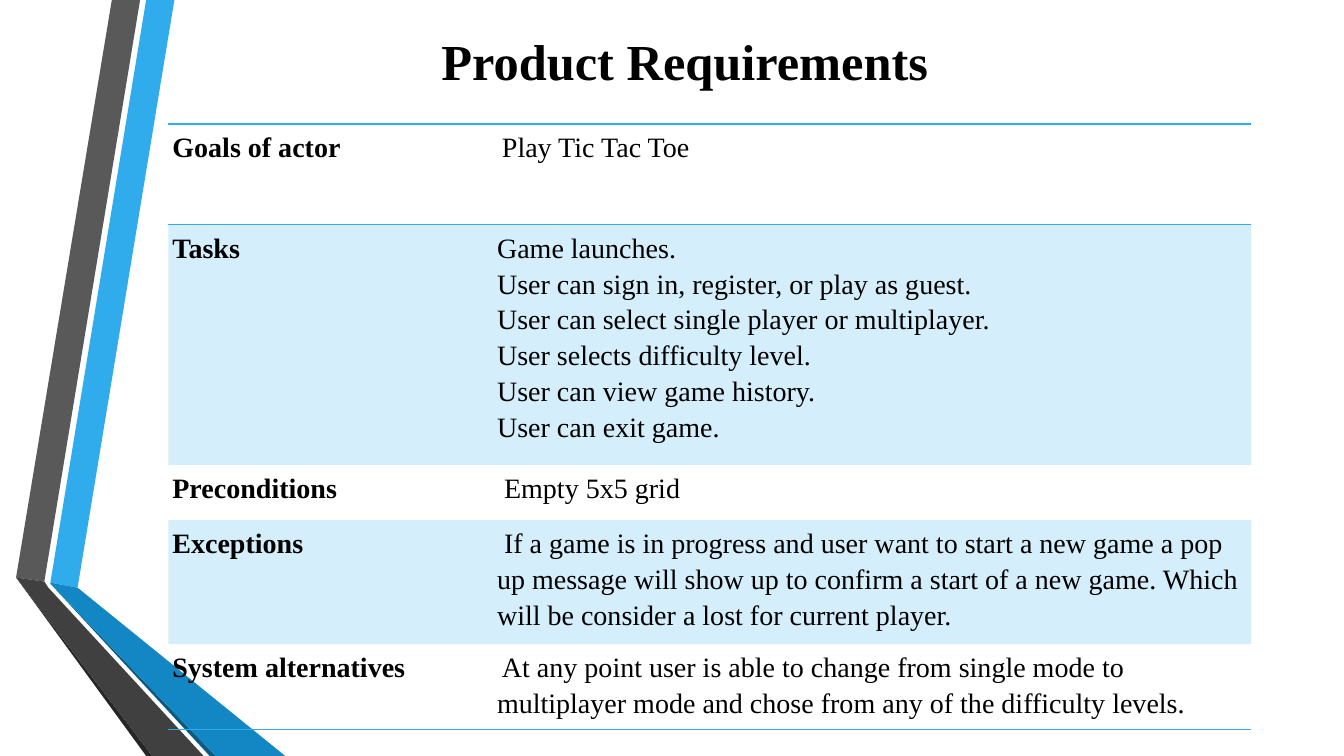
"""Build the Product Requirements slide with its use case table."""
from lxml.etree import SubElement
from pptx import Presentation
from pptx.dml.color import RGBColor
from pptx.oxml.ns import qn
from pptx.util import Inches, Pt

TITLE = "Product Requirements"
REQUIREMENTS = [
    ("Goals of actor", 1.0, [[(" ", "small"), ("Play Tic Tac Toe", "body")]]),
    ("Tasks", 2.37, [[(task, "body")] for task in (
        "Game launches.",
        "User can sign in, register, or play as guest.",
        "User can select single player or multiplayer.",
        "User selects difficulty level.",
        "User can view game history.",
        "User can exit game.",
    )]),
    ("Preconditions", 0.55, [[(" Empty 5x5 grid", "body")]]),
    ("Exceptions", 1.23, [[(
        " If a game is in progress and user want to start a new game a pop up "
        "message will show up to confirm a start of a new game. Which will be "
        "consider a lost for current player.", "body")]]),
    ("System alternatives", 0.85, [[(" ", "small"), (
        "At any point user is able to change from single mode to multiplayer "
        "mode and chose from any of the difficulty levels.", "body")]]),
]
RIBBONS = [
    ("blue", [(0.5, 5.78), (0.77, 5.83), (1.73, 0), (1.45, 0)]),
    ("gray", [(1.39, 0), (1.11, 0), (0.16, 5.73), (0.44, 5.77)]),
    ("black", [(0.16, 5.73), (1.45, 7.5), (1.51, 7.5)]),
    ("navy", [(0.5, 5.79), (2.08, 7.5), (2.14, 7.5)]),
    ("deep_blue", [(0.5, 5.79), (2.14, 7.5), (2.83, 7.5), (0.77, 5.83), (0.5, 5.78)]),
    ("charcoal", [(2.02, 7.5), (0.48, 5.83), (0.44, 5.77), (0.16, 5.73), (1.51, 7.5)]),
]
THEME = {
    "font": "Times New Roman",
    "sizes": {"title": 36, "body": 20, "small": 14},
    "colors": {"text": "000000", "blue": "30ACEC", "gray": "595959", "black": "262626",
               "navy": "0C5A82", "deep_blue": "1287C3", "charcoal": "404040"},
    "band_alpha": 20,
}
COLUMN_WIDTHS = (3.22, 7.52)
CELL_MARGIN = 0.04
PLAIN_TABLE_STYLE = "{2D5ABB26-0587-4C30-8999-92F81FD0307C}"


def theme_color(name):
    return RGBColor.from_string(THEME["colors"][name])


def add_run(paragraph, text, size, bold=False):
    run = paragraph.add_run()
    run.text = text
    run.font.name = THEME["font"]
    run.font.size = Pt(THEME["sizes"][size])
    run.font.bold = bold
    run.font.color.rgb = theme_color("text")


def add_ribbon(slide, color, points):
    corners = [(Inches(x), Inches(y)) for x, y in points]
    builder = slide.shapes.build_freeform(*corners[0])
    builder.add_line_segments(corners[1:], close=True)
    shape = builder.convert_to_shape()
    shape.shadow.inherit = False
    shape.fill.solid()
    shape.fill.fore_color.rgb = theme_color(color)
    shape.line.fill.background()


def add_title(slide):
    box = slide.shapes.add_textbox(Inches(4.28), Inches(0.25), Inches(5.97), Inches(0.71))
    box.text_frame.word_wrap = True
    add_run(box.text_frame.paragraphs[0], TITLE, "title", bold=True)


def add_border(cell, side):
    properties = cell._tc.get_or_add_tcPr()
    line = SubElement(properties, qn(f"a:ln{side}"), w=str(Pt(1)))
    fill = SubElement(line, qn("a:solidFill"))
    SubElement(fill, qn("a:srgbClr"), val=THEME["colors"]["blue"])


def fill_cell(cell, banded):
    if not banded:
        cell.fill.background()
        return
    cell.fill.solid()
    cell.fill.fore_color.rgb = theme_color("blue")
    color = next(cell._tc.tcPr.iter(qn("a:srgbClr")))
    SubElement(color, qn("a:alpha"), val=str(THEME["band_alpha"] * 1000))


def write_cell(cell, lines, bold):
    cell.margin_left = cell.margin_right = Inches(CELL_MARGIN)
    cell.margin_top = cell.margin_bottom = Inches(CELL_MARGIN)
    for index, line in enumerate(lines):
        frame = cell.text_frame
        paragraph = frame.add_paragraph() if index else frame.paragraphs[0]
        paragraph.line_spacing = 1.15
        for text, size in line:
            add_run(paragraph, text, size, bold)


def add_requirements(slide):
    height = sum(row_height for _, row_height, _ in REQUIREMENTS)
    frame = slide.shapes.add_table(
        len(REQUIREMENTS), len(COLUMN_WIDTHS), Inches(1.67), Inches(1.23),
        Inches(sum(COLUMN_WIDTHS)), Inches(height))
    table = frame.table
    table.first_row = table.horz_banding = False
    table._tbl.tblPr.find(qn("a:tableStyleId")).text = PLAIN_TABLE_STYLE
    for column, width in zip(table.columns, COLUMN_WIDTHS):
        column.width = Inches(width)
    last = len(REQUIREMENTS) - 1
    for index, (label, row_height, lines) in enumerate(REQUIREMENTS):
        table.rows[index].height = Inches(row_height)
        for column, content in enumerate(([[(label, "body")]], lines)):
            cell = table.cell(index, column)
            write_cell(cell, content, bold=column == 0)
            if index == 0:
                add_border(cell, "T")
            if index in (0, last):
                add_border(cell, "B")
            fill_cell(cell, banded=index % 2 == 1)


def main():
    presentation = Presentation()
    presentation.slide_width = Inches(13.33)
    presentation.slide_height = Inches(7.5)
    slide = presentation.slides.add_slide(presentation.slide_layouts[6])
    for color, points in RIBBONS:
        add_ribbon(slide, color, points)
    add_title(slide)
    add_requirements(slide)
    presentation.save("out.pptx")


if __name__ == "__main__":
    main()
